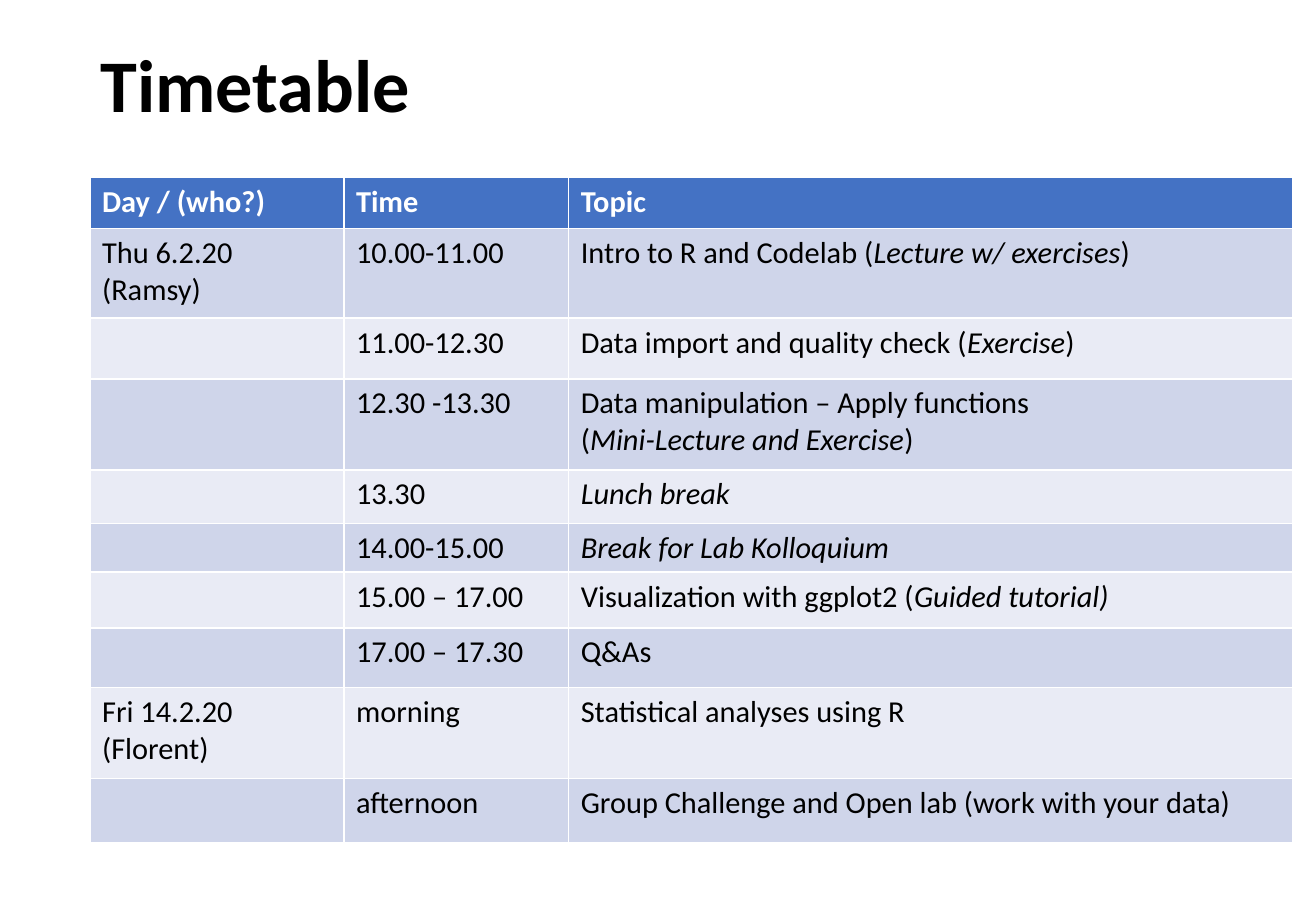
from dataclasses import dataclass

from pptx import Presentation
from pptx.dml.color import RGBColor
from pptx.enum.text import MSO_ANCHOR
from pptx.util import Inches, Pt

FONT = "Calibri"
BLACK = RGBColor(0x00, 0x00, 0x00)
WHITE = RGBColor(0xFF, 0xFF, 0xFF)
HEADER_BLUE = RGBColor(0x44, 0x72, 0xC4)
BAND_DARK = RGBColor(0xCF, 0xD5, 0xEA)
BAND_LIGHT = RGBColor(0xE9, 0xEB, 0xF5)

ITALIC_MARK = "*"
LINE_BREAK = "\v"
COLUMN_WIDTHS = (2.09, 1.85, 5.96)


@dataclass(frozen=True)
class Session:
    height: float
    day: str
    time: str
    topic: str


SESSIONS = (
    Session(0.42, "Day / (who?)", "Time", "Topic"),
    Session(0.74, "Thu 6.2.20\v(Ramsy)", "10.00-11.00",
            "Intro to R and Codelab (*Lecture w/ exercises*)"),
    Session(0.5, "", "11.00-12.30", "Data import and quality check (*Exercise*)"),
    Session(0.75, "", "12.30 -13.30",
            "Data manipulation – Apply functions\n(*Mini-Lecture and Exercise*)"),
    Session(0.44, "", "13.30", "*Lunch break*"),
    Session(0.39, "", "14.00-15.00", "*Break for Lab Kolloquium*"),
    Session(0.46, "", "15.00 – 17.00", "Visualization with ggplot2 (*Guided tutorial)*"),
    Session(0.49, "", "17.00 – 17.30", "Q&As"),
    Session(0.75, "Fri 14.2.20\n(Florent)", "morning", "Statistical analyses using R"),
    Session(0.53, "", "afternoon", "Group Challenge and Open lab (work with your data)"),
)


def style_paragraph(paragraph, size: int, color: RGBColor, bold: bool) -> None:
    font = paragraph.font
    font.name = FONT
    font.size = Pt(size)
    font.bold = bold
    font.color.rgb = color


def add_marked_runs(paragraph, text: str) -> None:
    for part_number, part in enumerate(text.split(ITALIC_MARK)):
        if not part:
            continue
        for line_number, line in enumerate(part.split(LINE_BREAK)):
            if line_number:
                paragraph.add_line_break()
            run = paragraph.add_run()
            run.text = line
            if part_number % 2:
                run.font.italic = True


def fill_cell(cell, text: str, fill: RGBColor, color: RGBColor, bold: bool) -> None:
    cell.fill.solid()
    cell.fill.fore_color.rgb = fill
    frame = cell.text_frame
    for number, line in enumerate(text.split("\n")):
        paragraph = frame.add_paragraph() if number else frame.paragraphs[0]
        style_paragraph(paragraph, 18, color, bold)
        add_marked_runs(paragraph, line)


def add_title(slide) -> None:
    title = slide.shapes.add_textbox(Inches(0.73), Inches(0), Inches(9.34), Inches(1.45))
    frame = title.text_frame
    frame.word_wrap = True
    frame.vertical_anchor = MSO_ANCHOR.MIDDLE
    paragraph = frame.paragraphs[0]
    paragraph.text = "Timetable"
    paragraph.line_spacing = 0.9
    style_paragraph(paragraph, 44, BLACK, True)


def add_timetable(slide) -> None:
    timetable = slide.shapes.add_table(
        len(SESSIONS), len(COLUMN_WIDTHS), Inches(0.74), Inches(1.46),
        Inches(sum(COLUMN_WIDTHS)), Inches(sum(session.height for session in SESSIONS)),
    ).table
    for column, width in zip(timetable.columns, COLUMN_WIDTHS):
        column.width = Inches(width)
    for number, (row, session) in enumerate(zip(timetable.rows, SESSIONS)):
        row.height = Inches(session.height)
        is_header = number == 0
        band = BAND_DARK if number % 2 else BAND_LIGHT
        fill = HEADER_BLUE if is_header else band
        color = WHITE if is_header else BLACK
        for cell, text in zip(row.cells, (session.day, session.time, session.topic)):
            fill_cell(cell, text, fill, color, is_header)


def main() -> None:
    presentation = Presentation()
    presentation.slide_width = Inches(10.83)
    presentation.slide_height = Inches(7.5)
    slide = presentation.slides.add_slide(presentation.slide_layouts[6])
    add_title(slide)
    add_timetable(slide)
    presentation.save("out.pptx")


if __name__ == "__main__":
    main()
